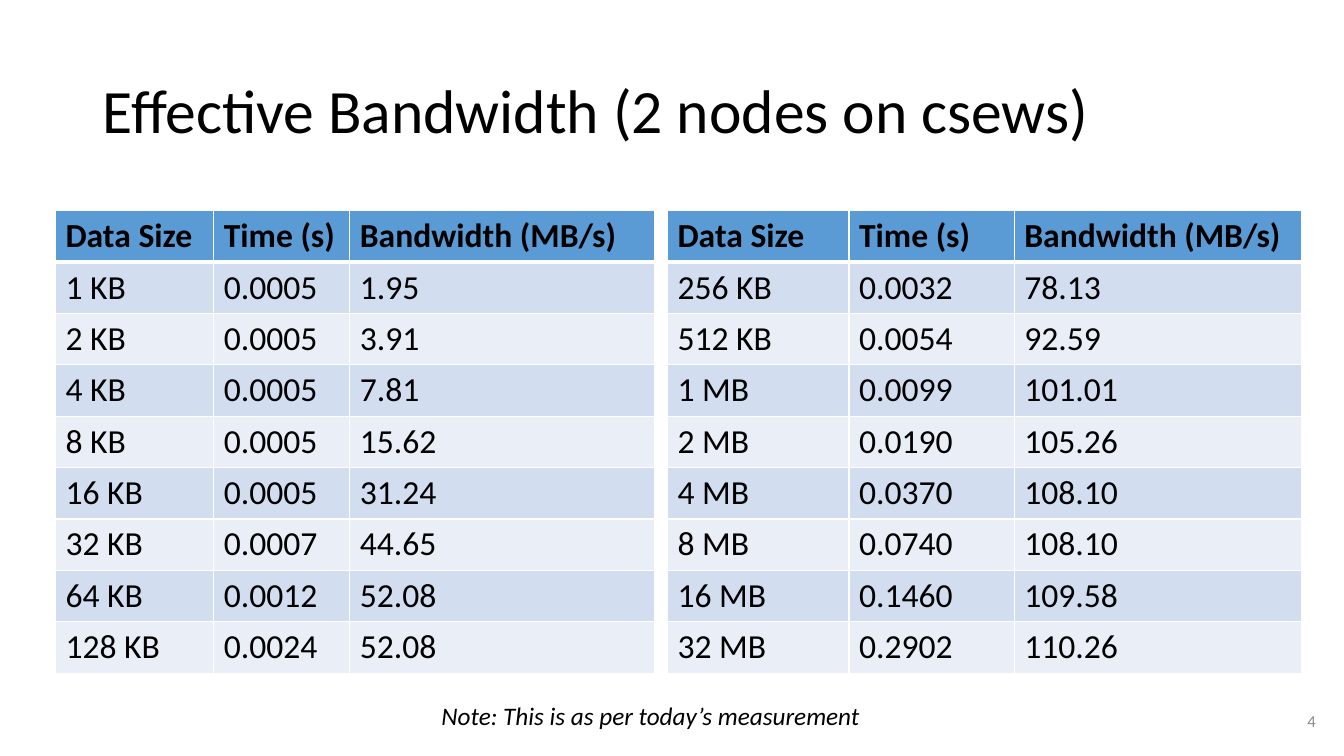
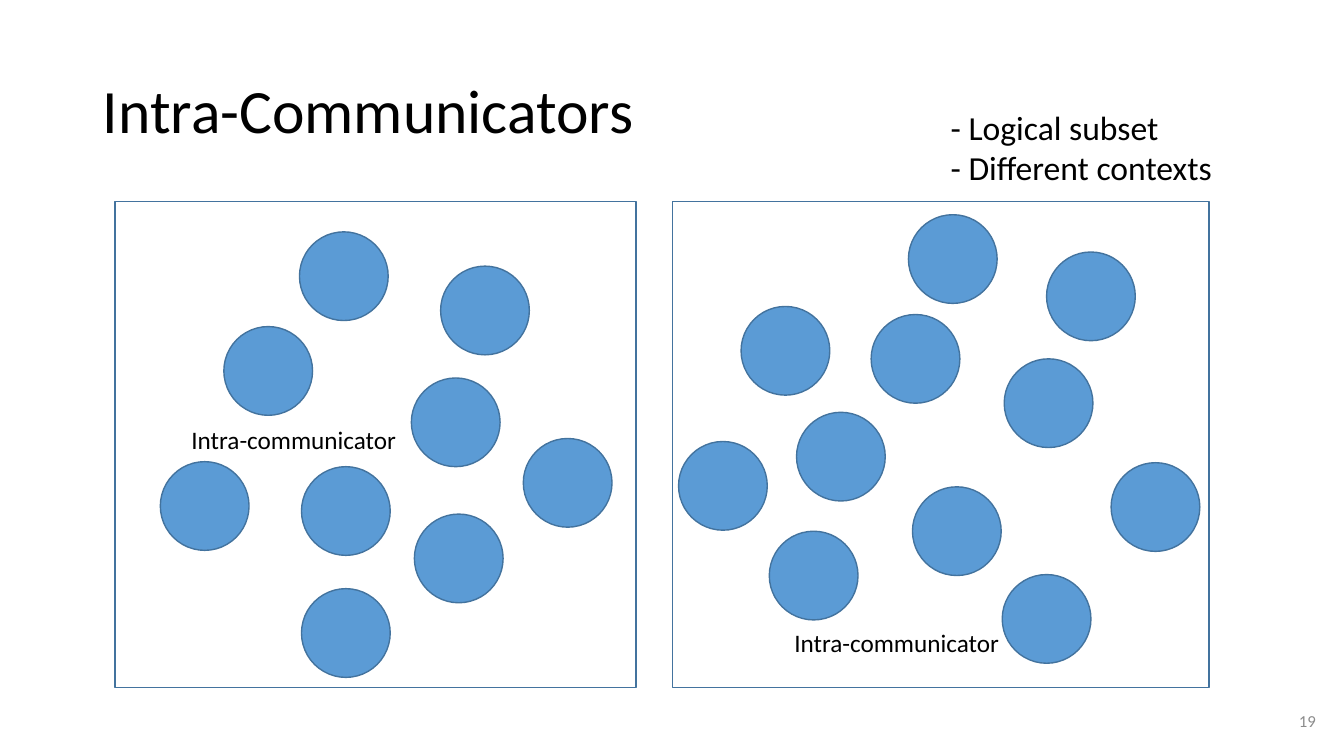
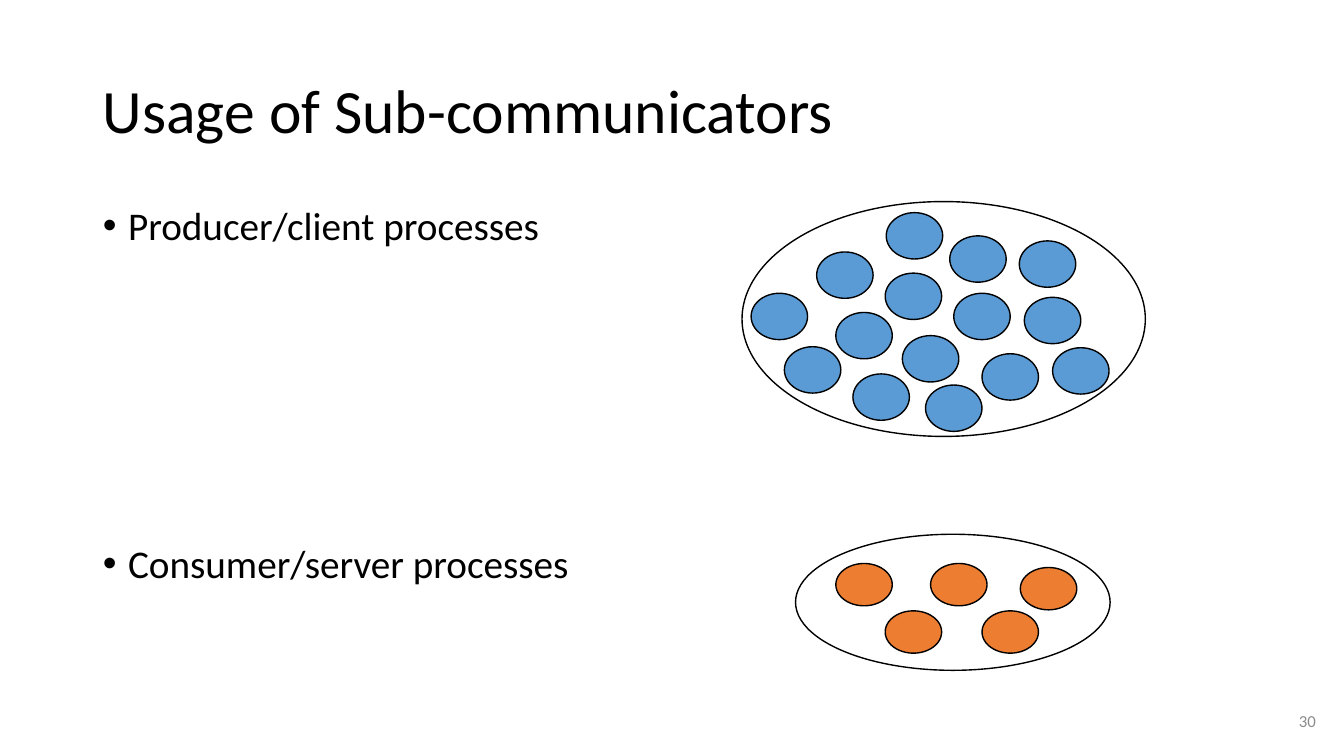
from dataclasses import dataclass

from lxml import etree
from pptx import Presentation
from pptx import util as u
from pptx.dml.color import RGBColor
from pptx.enum import shapes, text
from pptx.oxml.ns import qn

PX = 9144
OVAL, RECT = shapes.MSO_SHAPE.OVAL, shapes.MSO_SHAPE.RECTANGLE


@dataclass(frozen=True)
class Theme:
    """Colours, font and type sizes of the deck."""
    font: str = "Calibri"
    black: str = "000000"
    white: str = "FFFFFF"
    grey: str = "8C8C8C"
    blue: str = "5B9BD5"
    edge: str = "43739E"
    orange: str = "ED7D31"
    bands: tuple = ("EAEFF7", "D2DEEF")
    title: int = 44
    body: int = 28
    table: int = 24
    label: int = 18
    number: int = 12


T = Theme()


def px(*lengths):
    """Convert pixel lengths to EMU."""
    return [u.Emu(n * PX) for n in lengths]


def assign(obj, **values):
    """Set each named attribute on an object."""
    for name, value in values.items():
        setattr(obj, name, value)


def write(tf, lines, size, color=T.black, para=None, **font):
    """Fill a text frame with one paragraph per line."""
    for i, line in enumerate(lines):
        p = tf.paragraphs[0] if i == 0 else tf.add_paragraph()
        assign(p, **(para or {}))
        r = p.add_run()
        r.text = line
        assign(r.font, name=T.font, size=u.Pt(size), **font)
        r.font.color.rgb = RGBColor.from_string(color)


def place(sp, box):
    """Move and size a shape to a pixel box."""
    assign(sp, **dict(zip(("left", "top", "width", "height"), px(*box))))


def label(s, box, lines, size, wrap=True, anchor=text.MSO_ANCHOR.TOP, **fmt):
    """Add a text box."""
    tf = s.shapes.add_textbox(*px(*box)).text_frame
    assign(tf, word_wrap=wrap, vertical_anchor=anchor)
    write(tf, lines, size, **fmt)


def outlined(parent, kind, box, fill, line):
    """Add a preset shape with a thin outline and optional fill."""
    sp = parent.add_shape(kind, *px(*box))
    sp.shadow.inherit = False
    if fill:
        sp.fill.solid()
        sp.fill.fore_color.rgb = RGBColor.from_string(fill)
    else:
        sp.fill.background()
    sp.line.width = u.Pt(1)
    sp.line.color.rgb = RGBColor.from_string(line)


def new_slide(prs, layout, title, number):
    """Start a slide with its title and page number."""
    s = prs.slides.add_slide(prs.slide_layouts[layout])
    place(s.shapes.title, (92, 40, 1150, 145))
    tf = s.shapes.title.text_frame
    assign(tf, auto_size=text.MSO_AUTO_SIZE.NONE, vertical_anchor=text.MSO_ANCHOR.MIDDLE)
    write(tf, [title], T.title, para={"alignment": text.PP_ALIGN.LEFT, "line_spacing": 0.9})
    label(s, (942, 695, 373, 40), [str(number)], T.number, anchor=text.MSO_ANCHOR.MIDDLE,
          color=T.grey, para={"alignment": text.PP_ALIGN.RIGHT})
    return s


def border(cell, **widths):
    """Draw white cell borders, given in points by side."""
    tc_pr = cell._tc.get_or_add_tcPr()
    for i, (side, width) in enumerate(widths.items()):
        ln = etree.Element(qn(f"a:ln{side}"), w=str(u.Pt(width)))
        fill = etree.SubElement(ln, qn("a:solidFill"))
        etree.SubElement(fill, qn("a:srgbClr"), val=T.white)
        tc_pr.insert(i, ln)


def bandwidth_table(s, left, top, widths, rows):
    """Add a banded table of transfer sizes, times and bandwidths."""
    row_height = 51
    rows = [("Data Size", "Time (s)", "Bandwidth (MB/s)"), *rows]
    box = left, top, sum(widths), row_height * len(rows)
    tbl = s.shapes.add_table(len(rows), len(widths), *px(*box)).table
    for col, width in zip(tbl.columns, px(*widths)):
        col.width = width
    for i, row in enumerate(rows):
        for j, value in enumerate(row):
            cell = tbl.cell(i, j)
            cell.fill.solid()
            cell.fill.fore_color.rgb = RGBColor.from_string(T.bands[i % 2] if i else T.blue)
            border(cell, L=1, R=1, T=3 if i == 1 else 1, B=1 if i else 3)
            write(cell.text_frame, [value], T.table, bold=i == 0)


def scatter(parent, kind, box, dot_size, dots, line, dot_fill, fill=None):
    """Add an outline holding dots placed relative to its corner."""
    outlined(parent, kind, box, fill, line)
    for x, y in dots:
        outlined(parent, OVAL, (box[0] + x, box[1] + y, *dot_size), dot_fill, line)


def communicator(s, box, dots, label_at):
    """Add a framed communicator with its processes and name."""
    scatter(s.shapes, RECT, box, (88, 88), dots, T.edge, T.blue)
    x, y = label_at
    label(s, (box[0] + x, box[1] + y, 225, 40), ["Intra-communicator"], T.label, wrap=False)


def bullets(s, box, lines, gap):
    """Fill the body placeholder with bullets set a wide gap apart."""
    sp = s.placeholders[1]
    place(sp, box)
    sp.text_frame.auto_size = text.MSO_AUTO_SIZE.NONE
    write(sp.text_frame, lines, T.body, para={"line_spacing": 0.9, "space_before": u.Pt(10)})
    for i, p in enumerate(sp.text_frame.paragraphs):
        if i:
            p.space_before = u.Pt(gap)
        p_pr = p._p.get_or_add_pPr()
        p_pr.set("marL", str(25 * PX))
        p_pr.set("indent", str(-25 * PX))
        etree.SubElement(p_pr, qn("a:buFont"), typeface="Arial")
        etree.SubElement(p_pr, qn("a:buChar"), char="•")


def bandwidth_slide(prs):
    """Build the slide of measured bandwidths."""
    s = new_slide(prs, 5, "Effective Bandwidth (2 nodes on csews)", 4)
    bandwidth_table(s, 55, 209, (157, 135, 302), [
        ("1 KB", "0.0005", "1.95"),
        ("2 KB", "0.0005", "3.91"),
        ("4 KB", "0.0005", "7.81"),
        ("8 KB", "0.0005", "15.62"),
        ("16 KB", "0.0005", "31.24"),
        ("32 KB", "0.0007", "44.65"),
        ("64 KB", "0.0012", "52.08"),
        ("128 KB", "0.0024", "52.08"),
    ])
    bandwidth_table(s, 662, 209, (180, 164, 285), [
        ("256 KB", "0.0032", "78.13"),
        ("512 KB", "0.0054", "92.59"),
        ("1 MB", "0.0099", "101.01"),
        ("2 MB", "0.0190", "105.26"),
        ("4 MB", "0.0370", "108.10"),
        ("8 MB", "0.0740", "108.10"),
        ("16 MB", "0.1460", "109.58"),
        ("32 MB", "0.2902", "110.26"),
    ])
    label(s, (428, 690, 442, 40), ["Note: This is as per today’s measurement"],
          T.label, wrap=False, italic=True)


def communicators_slide(prs):
    """Build the slide of two intra-communicators."""
    s = new_slide(prs, 5, "Intra-Communicators", 19)
    label(s, (933, 101, 282, 91), ["- Logical subset", "- Different contexts"], T.table)
    communicator(s, (114, 200, 517, 482), [
        (183, 30), (323, 64), (108, 124), (294, 175), (405, 235),
        (45, 258), (185, 263), (297, 310), (185, 384),
    ], (66, 216))
    communicator(s, (667, 200, 532, 482), [
        (234, 13), (371, 50), (68, 104), (197, 112), (329, 156), (123, 209),
        (6, 238), (435, 259), (238, 283), (96, 327), (327, 370),
    ], (111, 417))


def usage_slide(prs):
    """Build the slide of producer and consumer processes."""
    s = new_slide(prs, 1, "Usage of Sub-communicators", 30)
    bullets(s, (92, 200, 507, 476),
            ["Producer/client processes", "Consumer/server processes"], 211)
    producers = [
        (143, 11), (206, 34), (275, 39), (74, 50), (142, 71),
        (9, 91), (210, 91), (280, 95), (93, 110), (159, 133),
        (42, 144), (308, 145), (238, 151), (110, 171), (182, 182),
    ]
    consumers = [(40, 29), (134, 29), (223, 33), (89, 76), (185, 76)]
    scatter(s.shapes.add_group_shape().shapes, OVAL, (736, 200, 400, 233), (56, 46),
            producers, T.black, T.blue, fill=T.white)
    scatter(s.shapes.add_group_shape().shapes, OVAL, (789, 530, 312, 135), (56, 42),
            consumers, T.black, T.orange)


def main():
    """Build and save the deck."""
    prs = Presentation()
    prs.slide_width, prs.slide_height = u.Inches(13.33), u.Inches(7.5)
    bandwidth_slide(prs)
    communicators_slide(prs)
    usage_slide(prs)
    prs.save("out.pptx")


if __name__ == "__main__":
    main()
